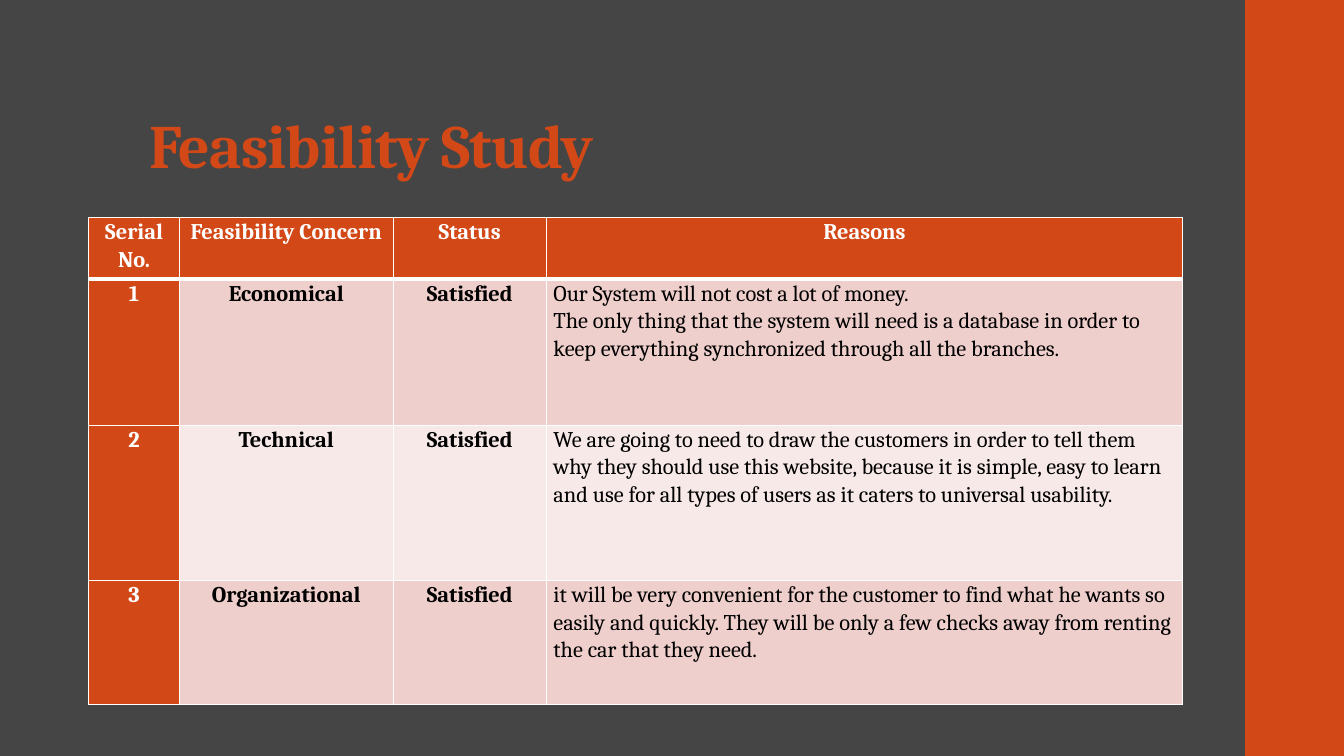
import pptx
import pptx.dml.color
import pptx.enum.shapes
import pptx.enum.text
import pptx.oxml
import pptx.oxml.ns
import pptx.util
from dataclasses import dataclass

Inches = pptx.util.Inches
Pt = pptx.util.Pt
Align = pptx.enum.text.PP_ALIGN
Anchor = pptx.enum.text.MSO_ANCHOR


@dataclass(frozen=True)
class Theme:
    """Colours, font and type sizes of the deck."""
    back: str = "454545"
    accent: str = "D34817"
    light: str = "FFFFFF"
    dark: str = "000000"
    bands: tuple = ("EFCFCC", "F7E9E8")
    font: str = "Cambria"
    title: int = 44
    body: int = 16


THEME = Theme()
COLS = (0.9, 2.12, 1.52, 6.31)
ROWS = (0.61, 1.45, 1.54, 1.23)
HEADS = ("Serial No.", "Feasibility Concern", "Status", "Reasons")
STUDY = (
    ("Economical", "Satisfied",
     "Our System will not cost a lot of money.\n"
     "The only thing that the system will need is a database in order to "
     "keep everything synchronized through all the branches."),
    ("Technical", "Satisfied",
     "We are going to need to draw the customers in order to tell them why "
     "they should use this website, because it is simple, easy to learn and "
     "use for all types of users as it caters to universal usability."),
    ("Organizational", "Satisfied",
     "it will be very convenient for the customer to find what he wants so "
     "easily and quickly. They will be only a few checks away from renting "
     "the car that they need."),
)


def apply(item, style):
    """Set each attribute named in the style."""
    for name, value in style.items():
        setattr(item, name, value)


def paint(fill, tint):
    """Fill with one solid colour."""
    fill.solid()
    fill.fore_color.rgb = pptx.dml.color.RGBColor.from_string(tint)


def write(frame, text, size, tint, bold, align, space):
    """Write paragraphs in one style."""
    frame.text = text
    for para in frame.paragraphs:
        apply(para, {"alignment": align, "line_spacing": space,
                     "space_before": Pt(0), "space_after": Pt(0)})
        for run in para.runs:
            apply(run.font, {"name": THEME.font, "size": Pt(size), "bold": bold})
            paint(run.font.fill, tint)


def edge(cell, top, base):
    """Draw the four borders of a cell."""
    props = cell._tc.get_or_add_tcPr()
    sides = {"lnL": 1, "lnR": 1, "lnT": top, "lnB": base}
    for spot, (side, width) in enumerate(sides.items()):
        line = pptx.oxml.parse_xml(
            f'<a:{side} {pptx.oxml.ns.nsdecls("a")} w="{Pt(width)}">'
            f'<a:solidFill><a:srgbClr val="{THEME.light}"/></a:solidFill>'
            f'</a:{side}>')
        props.insert(spot, line)


def add_title(slide, box, text):
    """Place the slide title in the box."""
    title = slide.shapes.title
    left, top, width, height = map(Inches, box)
    apply(title, {"left": left, "top": top, "width": width, "height": height})
    frame = title.text_frame
    apply(frame, {"auto_size": pptx.enum.text.MSO_AUTO_SIZE.NONE,
                  "word_wrap": True, "vertical_anchor": Anchor.BOTTOM,
                  "margin_left": Inches(0.1), "margin_right": Inches(0.1),
                  "margin_top": Inches(0.03), "margin_bottom": Inches(0.05)})
    write(frame, text, THEME.title, THEME.accent, True, Align.LEFT, 0.9)
    frame.paragraphs[0].runs[0].font._element.set("spc", "-50")


def add_grid(slide, box):
    """Place the study table in the box."""
    data = [HEADS] + [(str(num), *row) for num, row in enumerate(STUDY, 1)]
    table = slide.shapes.add_table(len(ROWS), len(COLS), *map(Inches, box)).table
    apply(table, {"first_col": True, "horz_banding": True})
    for col, width in zip(table.columns, COLS):
        col.width = Inches(width)
    for r, (row, height) in enumerate(zip(table.rows, ROWS)):
        row.height = Inches(height)
        for c, cell in enumerate(row.cells):
            head = r == 0 or c == 0
            prose = r > 0 and c == len(COLS) - 1
            apply(cell, {"margin_left": Inches(0.07), "margin_right": Inches(0.07),
                         "margin_top": 0, "margin_bottom": 0,
                         "vertical_anchor": Anchor.TOP})
            paint(cell.fill, THEME.accent if head else THEME.bands[(r - 1) % 2])
            edge(cell, 3 if r == 1 else 1, 3 if r == 0 else 1)
            write(cell.text_frame, data[r][c], THEME.body,
                  THEME.light if head else THEME.dark, not prose,
                  Align.LEFT if prose else Align.CENTER, 1.07)


def add_band(slide, box):
    """Place the accent band in the box."""
    band = slide.shapes.add_shape(
        pptx.enum.shapes.MSO_SHAPE.RECTANGLE, *map(Inches, box))
    band.shadow.inherit = False
    paint(band.fill, THEME.accent)
    band.line.fill.background()


def main():
    """Build and save the slide."""
    deck = pptx.Presentation()
    apply(deck, {"slide_width": Inches(13.33), "slide_height": Inches(7.5)})
    slide = deck.slides.add_slide(deck.slide_layouts[5])
    paint(slide.background.fill, THEME.back)
    add_title(slide, (1.38, 0.32, 10.6, 1.53), "Feasibility Study")
    add_grid(slide, (0.88, 2.16, sum(COLS), sum(ROWS)))
    add_band(slide, (12.35, 0, 0.98, 7.5))
    deck.save("out.pptx")


if __name__ == "__main__":
    main()
